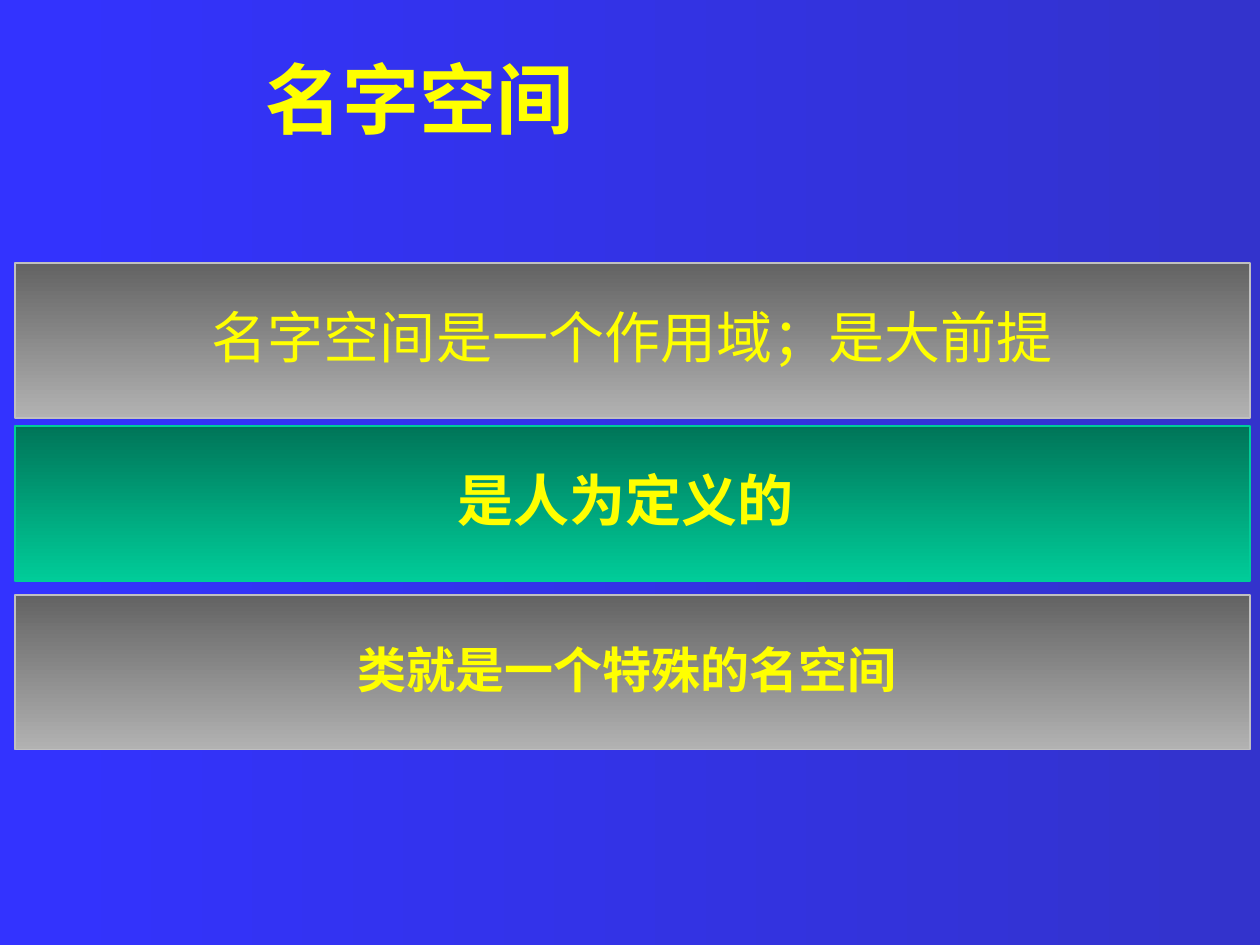
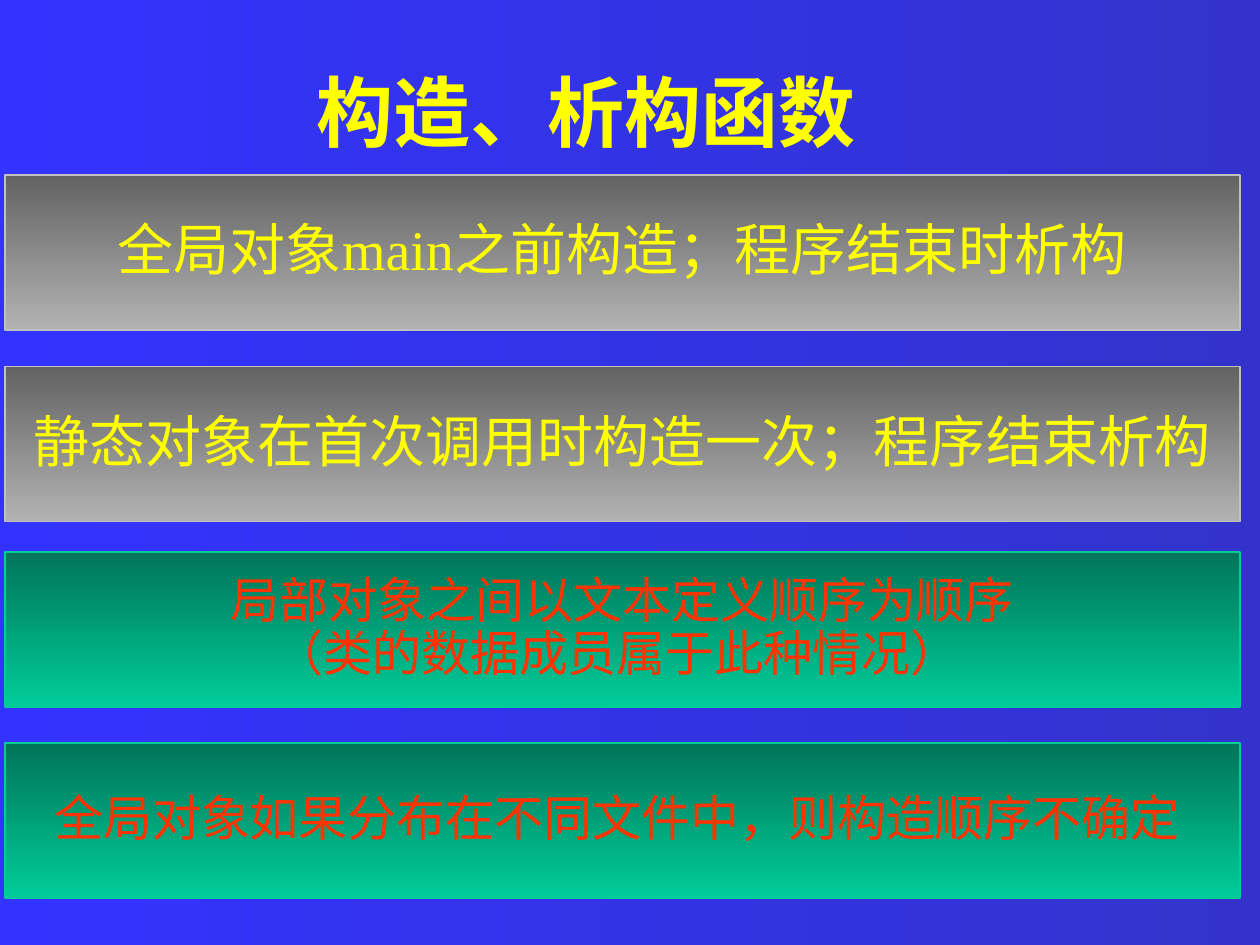
import pptx
import pptx.util
import pptx.dml.color
import pptx.enum.shapes
import pptx.enum.text

Inches, Pt = pptx.util.Inches, pptx.util.Pt
ALIGN = pptx.enum.text.PP_ALIGN
MIDDLE = pptx.enum.text.MSO_ANCHOR.MIDDLE
FONT = "Times New Roman"
COLORS = {
    "left": "3333FF", "right": "3333CC",
    "yellow": "FFFF00", "red": "FF3300",
    "gray_top": "636363", "gray_end": "B2B2B2", "gray_line": "C0C0C0",
    "green_top": "007558", "green_end": "00CC99", "green_line": "00CC99",
}
BAR_W, BAR_H = 9.8, 1.23


def color(name):
    return pptx.dml.color.RGBColor.from_string(COLORS[name])


def blend(fill, start, end, angle):
    """Fill with a two-colour gradient; the angle runs counter-clockwise."""
    fill.gradient()
    fill.gradient_angle = angle
    for stop, name in zip(fill.gradient_stops, (start, end)):
        stop.color.rgb = color(name)


def style(para, size, ink, bold, align):
    para.alignment = align
    para.font.name = FONT
    para.font.size = Pt(size)
    para.font.bold = bold
    para.font.color.rgb = color(ink)


def add_title(slide, text, box, align):
    title = slide.shapes.title
    title.left, title.top, title.width, title.height = map(Inches, box)
    frame = title.text_frame
    frame.text = text
    frame.auto_size = pptx.enum.text.MSO_AUTO_SIZE.NONE
    frame.vertical_anchor = MIDDLE
    style(frame.paragraphs[0], 44, "yellow", True, align)


def add_bar(slide, left, top, text, tone, ink, size, bold=False):
    bar = slide.shapes.add_shape(
        pptx.enum.shapes.MSO_SHAPE.RECTANGLE,
        Inches(left), Inches(top), Inches(BAR_W), Inches(BAR_H))
    bar.shadow.inherit = False
    blend(bar.fill, tone + "_top", tone + "_end", 270)
    bar.line.color.rgb = color(tone + "_line")
    bar.line.width = Pt(1)
    frame = bar.text_frame
    frame.word_wrap = False
    frame.vertical_anchor = MIDDLE
    frame.text = text
    for para in frame.paragraphs:
        para.line_spacing = 0.9
        style(para, size, ink, bold, ALIGN.CENTER)


def add_slide(deck, title, box, align, left, bars):
    slide = deck.slides.add_slide(deck.slide_layouts[5])
    add_title(slide, title, box, align)
    for bar in bars:
        add_bar(slide, left, *bar)


def main():
    deck = pptx.Presentation()
    deck.slide_width, deck.slide_height = Inches(10), Inches(7.5)
    blend(deck.slide_master.background.fill, "left", "right", 0)

    add_slide(deck, "名字空间", (2.01, 0.36, 7.17, 0.83), ALIGN.JUSTIFY, 0.12, [
        (2.09, "名字空间是一个作用域；是大前提", "gray", "yellow", 32),
        (3.38, "是人为定义的 ", "green", "yellow", 32, True),
        (4.72, "类就是一个特殊的名空间 ", "gray", "yellow", 28, True),
    ])
    add_slide(deck, "构造、析构函数 ", (-0.28, 0.52, 10, 0.71), ALIGN.CENTER, 0.04, [
        (1.39, "全局对象main之前构造；程序结束时析构", "gray", "yellow", 32),
        (2.91, "静态对象在首次调用时构造一次；程序结束析构", "gray", "yellow", 32),
        (4.38, "局部对象之间以文本定义顺序为顺序\n（类的数据成员属于此种情况） ",
         "green", "red", 28),
        (5.9, "全局对象如果分布在不同文件中，则构造顺序不确定 ", "green", "red", 28),
    ])
    deck.save("out.pptx")


if __name__ == "__main__":
    main()
